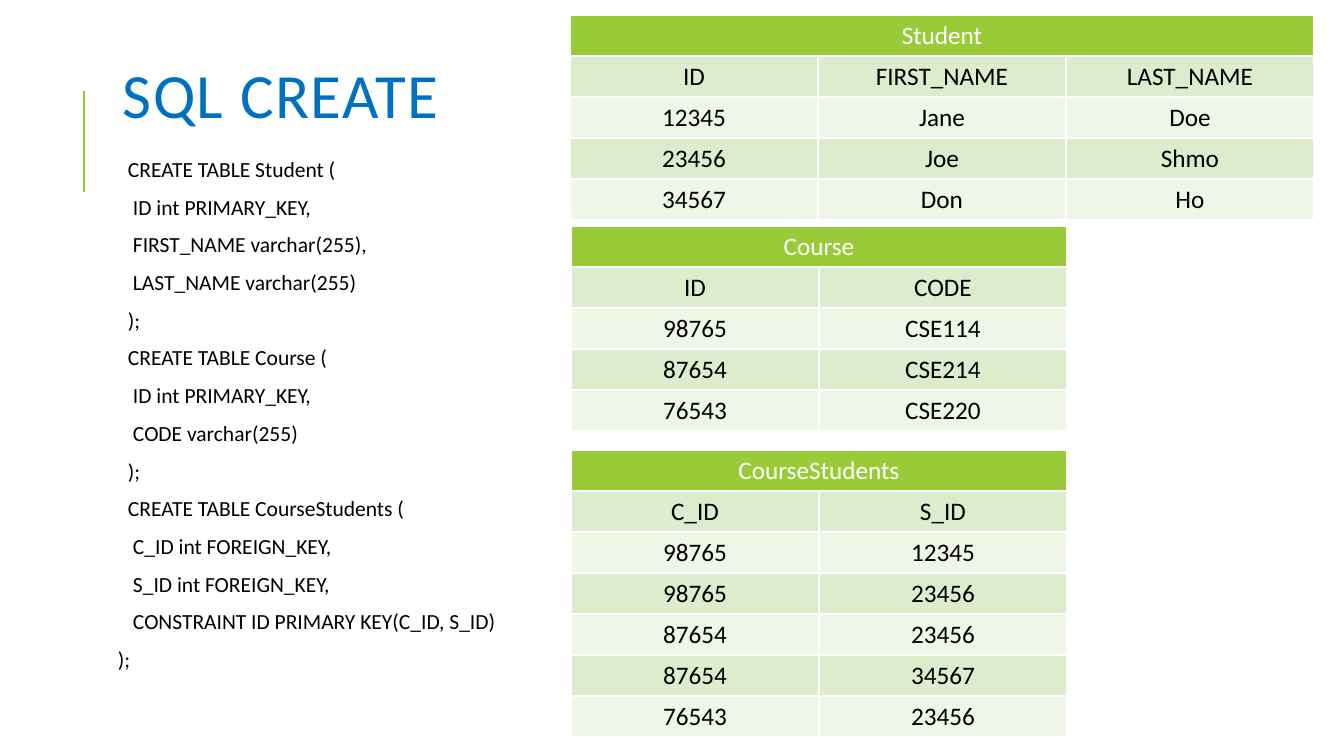
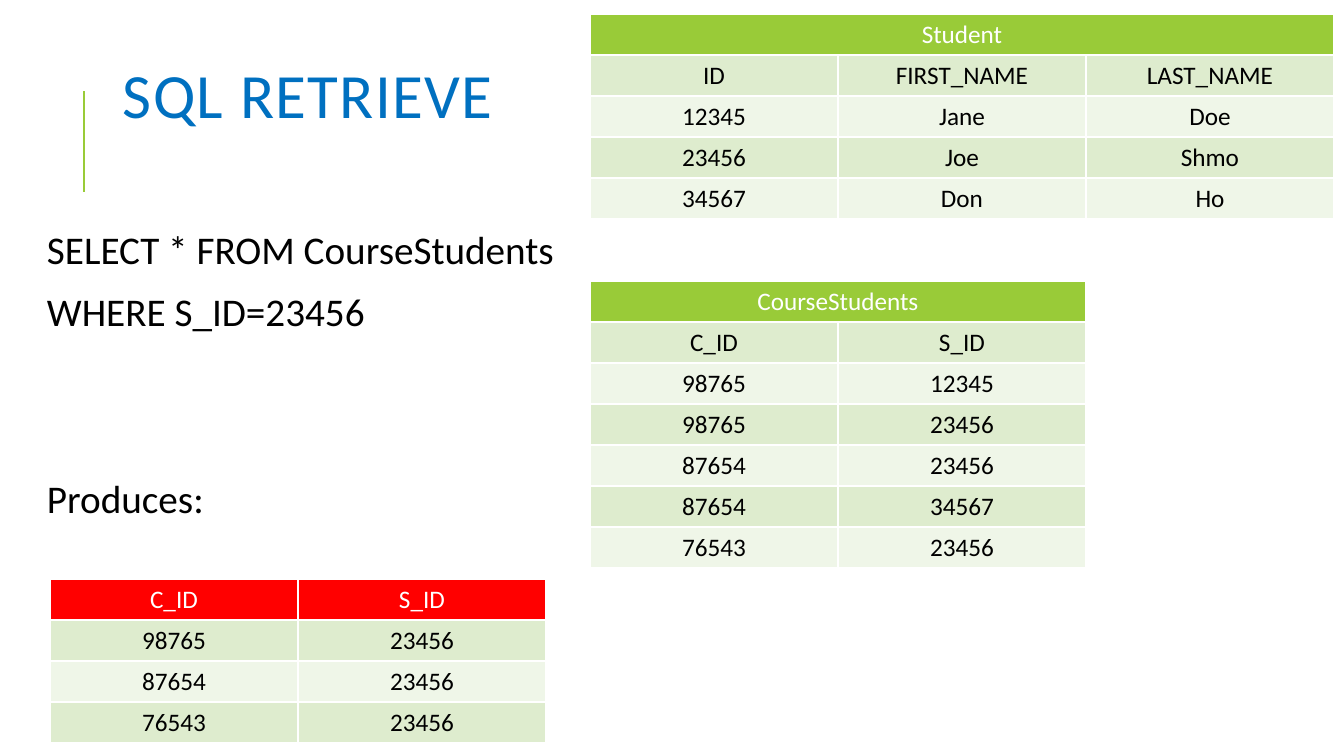
from lxml import etree
from pptx import Presentation
from pptx.dml.color import RGBColor
from pptx.enum.shapes import MSO_CONNECTOR as Connector
from pptx.enum.text import MSO_ANCHOR as Anchor, PP_ALIGN as Align
from pptx.oxml.ns import qn
from pptx.util import Pt

EMU_PER_PX = 914400 / 100.8
SLIDE_W, SLIDE_H = 1344, 756
COLUMN_W, ROW_H = 248, 41
INSET = 5

GREEN, RED, BLUE = "99CB38", "FF0000", "0070C0"
BLACK, WHITE = "000000", "FFFFFF"
BANDS = ("DEECCE", "EFF6E8")

TITLE_FONT = {"name": "Calibri", "size": Pt(45), "bold": False}
CODE_FONT = {"name": "Calibri", "size": Pt(15.4), "bold": False}
QUERY_FONT = {"name": "Calibri", "size": Pt(28), "bold": False}
CELL_FONT = {"name": "Calibri", "size": Pt(18), "bold": False}

CODE_SPACING = {"line_spacing": 0.7, "space_before": Pt(12), "space_after": Pt(2)}
QUERY_SPACING = {**CODE_SPACING, "line_spacing": 0.9}
RESULT_SPACING = {**QUERY_SPACING, "space_before": Pt(101)}

FLUSH, STATEMENT, FIELD = 0, 10, 15

STUDENT = [
    ("Student",),
    ("ID", "FIRST_NAME", "LAST_NAME"),
    ("12345", "Jane", "Doe"),
    ("23456", "Joe", "Shmo"),
    ("34567", "Don", "Ho"),
]
COURSE = [
    ("Course",),
    ("ID", "CODE"),
    ("98765", "CSE114"),
    ("87654", "CSE214"),
    ("76543", "CSE220"),
]
COURSE_STUDENTS = [
    ("CourseStudents",),
    ("C_ID", "S_ID"),
    ("98765", "12345"),
    ("98765", "23456"),
    ("87654", "23456"),
    ("87654", "34567"),
    ("76543", "23456"),
]
QUERY_RESULT = [
    ("C_ID", "S_ID"),
    ("98765", "23456"),
    ("87654", "23456"),
    ("76543", "23456"),
]
CREATE_CODE = [
    (STATEMENT, "CREATE TABLE Student ("),
    (FIELD, "ID int PRIMARY_KEY,"),
    (FIELD, "FIRST_NAME varchar(255),"),
    (FIELD, "LAST_NAME varchar(255)"),
    (STATEMENT, ");"),
    (STATEMENT, "CREATE TABLE Course ("),
    (FIELD, "ID int PRIMARY_KEY,"),
    (FIELD, "CODE varchar(255)"),
    (STATEMENT, ");"),
    (STATEMENT, "CREATE TABLE CourseStudents ("),
    (FIELD, "C_ID int FOREIGN_KEY,"),
    (FIELD, "S_ID int FOREIGN_KEY,"),
    (FIELD, "CONSTRAINT ID PRIMARY KEY(C_ID, S_ID)"),
    (FLUSH, ");"),
]


def px(length):
    return round(length * EMU_PER_PX)


def rgb(hex_color):
    return RGBColor.from_string(hex_color)


def assign(target, values):
    for key, value in values.items():
        setattr(target, key, value)


def write(paragraph, text, font, color, spacing):
    assign(paragraph, spacing)
    run = paragraph.add_run()
    run.text = text
    assign(run.font, font)
    run.font.color.rgb = rgb(color)
    return run


def add_text_frame(slide, box, settings):
    frame = slide.shapes.add_textbox(*map(px, box)).text_frame
    assign(frame, {"word_wrap": True, **settings})
    return frame


def add_heading(slide, text):
    accent = slide.shapes.add_connector(
        Connector.STRAIGHT, px(84), px(192), px(84), px(91))
    accent.line.color.rgb = rgb(GREEN)
    accent.line.width = Pt(1.5)
    etree.SubElement(accent._element.spPr, qn("a:effectLst"))

    frame = add_text_frame(slide, (113, 64, 1072, 73),
                           {"vertical_anchor": Anchor.MIDDLE})
    run = write(frame.paragraphs[0], text, TITLE_FONT, BLUE, {"line_spacing": 0.8})
    run._r.get_or_add_rPr().set("spc", "100")


def add_statements(slide, box, font, lines):
    margins = ("margin_left", "margin_top", "margin_right", "margin_bottom")
    frame = add_text_frame(slide, box, {
        "vertical_anchor": Anchor.TOP, **dict.fromkeys(margins, px(INSET))})
    for index, (indent, text, spacing) in enumerate(lines):
        paragraph = frame.add_paragraph() if index else frame.paragraphs[0]
        write(paragraph, text, font, BLACK, spacing)
        paragraph._p.get_or_add_pPr().set("marL", str(px(indent)))


def add_data_table(slide, left, top, records, header_color=GREEN):
    column_count = len(records[-1])
    grid = slide.shapes.add_table(
        len(records), column_count, px(left), px(top),
        px(COLUMN_W * column_count), px(ROW_H * len(records))).table
    grid.horz_banding = False
    if len(records[0]) == 1:
        grid.cell(0, 0).merge(grid.cell(0, column_count - 1))
    for row, record in enumerate(records):
        fill = BANDS[(row - 1) % 2] if row else header_color
        for column, text in enumerate(record):
            cell = grid.cell(row, column)
            cell.fill.solid()
            cell.fill.fore_color.rgb = rgb(fill)
            write(cell.text_frame.paragraphs[0], text, CELL_FONT,
                  BLACK if row else WHITE, {"alignment": Align.CENTER})


def build_create_slide(slide):
    add_heading(slide, "SQL CREATE")
    add_statements(slide, (113, 158, 440, 583), CODE_FONT,
                   [(*line, CODE_SPACING) for line in CREATE_CODE])
    add_data_table(slide, 570, 15, STUDENT)
    add_data_table(slide, 571, 226, COURSE)
    add_data_table(slide, 571, 450, COURSE_STUDENTS)


def build_retrieve_slide(slide):
    add_heading(slide, "SQL RETRIEVE")
    add_statements(slide, (32, 226, 550, 330), QUERY_FONT, [
        (STATEMENT, "SELECT * FROM CourseStudents", QUERY_SPACING),
        (STATEMENT, "WHERE S_ID=23456", QUERY_SPACING),
        (STATEMENT, "Produces:", RESULT_SPACING),
    ])
    add_data_table(slide, 590, 14, STUDENT)
    add_data_table(slide, 590, 281, COURSE_STUDENTS)
    add_data_table(slide, 50, 579, QUERY_RESULT, RED)


def main():
    deck = Presentation()
    assign(deck, {"slide_width": px(SLIDE_W), "slide_height": px(SLIDE_H)})
    blank = deck.slide_layouts[6]
    for build in (build_create_slide, build_retrieve_slide):
        build(deck.slides.add_slide(blank))
    deck.save("out.pptx")


if __name__ == "__main__":
    main()
